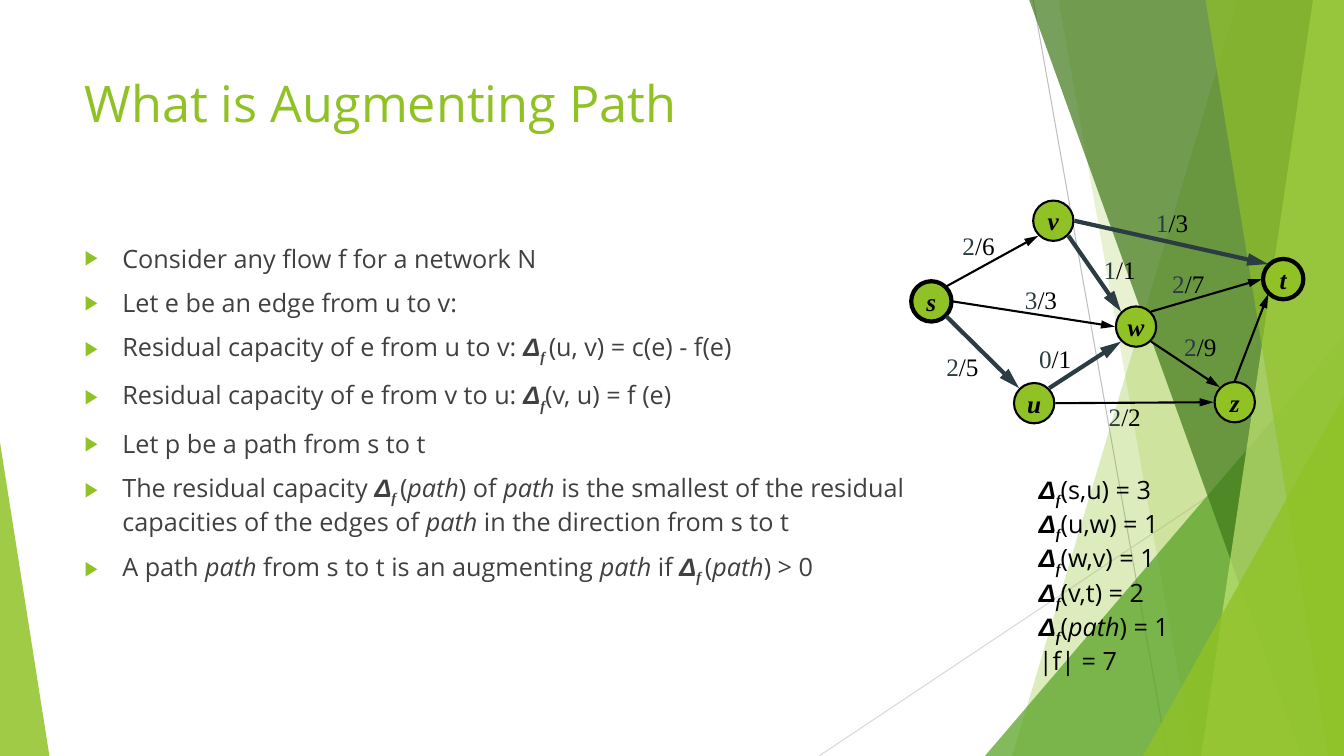
from dataclasses import dataclass

from lxml import etree
from pptx import Presentation
from pptx import util as u
from pptx.dml.color import RGBColor
from pptx.enum import shapes, text
from pptx.oxml.ns import qn


@dataclass(frozen=True)
class Theme:
    green: str = "90C226"
    leaf: str = "54A021"
    forest: str = "3F7819"
    lime: str = "C0E474"
    slate: str = "2C3C43"
    black: str = "000000"
    body: str = "404040"
    gray: str = "BFBFBF"
    pale: str = "D9D9D9"
    sans: str = "Open Sans"
    symbol: str = "Arial"
    serif: str = "Times New Roman"
    title_size: int = 36
    text_size: int = 18
    thin: float = 1.5
    thick: float = 3


DELTA, SUB, SUB_GAP, PATH = ("Δ", "delta"), ("f", "sub"), ("f ", "sub"), ("path", "italic")

# top-left x, bottom-left x, colour, opacity in percent; all reach the right edge
FACETS = [(884, 723, "green", 30), (756, 852, "green", 20), (735, 929.5, "forest", 70),
          (938, 858, "lime", 70), (861, 949, "green", 65)]

BULLETS = [
    ["Consider any flow f for a network N"],
    ["Let e be an edge from u to v:"],
    ["Residual capacity of e from u to v: ", DELTA, SUB_GAP, "(u, v) = c(e) - f(e)"],
    ["Residual capacity of e from v to u: ", DELTA, SUB, "(v, u) = f (e)"],
    ["Let p be a path from s to t"],
    ["The residual capacity ", DELTA, SUB_GAP, "(", PATH, ") of ", PATH,
     " is the smallest of the residual capacities of the edges of ", PATH,
     " in the direction from s to t"],
    ["A path ", PATH, " from s to t is an augmenting ", PATH, " if ",
     DELTA, SUB_GAP, "(", PATH, ") > 0"],
]
RESIDUALS = [[DELTA, SUB, value] for value in
             ("(s,u) = 3", "(u,w) = 1", "(w,v) = 1", "(v,t) = 2")]
RESIDUALS += [[DELTA, SUB, "(", PATH, ") = 1"], ["|f| = 7"]]

RADIUS = 14.4
NODES = {"w": (811.5, 233.3), "s": (665.3, 215.3), "v": (752.4, 157.7),
         "u": (738.7, 288), "t": (916.6, 199.4), "z": (882, 287.3)}
TERMINALS = "st"
DIAGONAL = 0.71
COMPASS = {"N": (0, -1), "E": (1, 0), "W": (-1, 0),
           "NE": (DIAGONAL, -DIAGONAL), "NW": (-DIAGONAL, -DIAGONAL),
           "SE": (DIAGONAL, DIAGONAL), "SW": (-DIAGONAL, DIAGONAL)}

# tail node and side, head node and side, on the path, flow, capacity, label corner
EDGES = [
    ("s", "NE", "v", "SW", False, "2", "6", (680.4, 161.3)),
    ("s", "SE", "u", "NW", True, "2", "5", (668.9, 247.7)),
    ("v", "SE", "w", "NW", True, "1", "1", (781.2, 177.8)),
    ("v", "E", "t", "NW", True, "1", "3", (818.6, 144.7)),
    ("w", "NE", "t", "W", False, "2", "7", (830.2, 187.9)),
    ("w", "SE", "z", "NW", False, "2", "9", (838.8, 233.3)),
    ("z", "N", "t", "SW", False, None, None, None),
    ("u", "E", "z", "W", False, "2", "2", (784.8, 283)),
    ("u", "NE", "w", "SW", True, "0", "1", (735.1, 241.9)),
    ("s", "E", "w", "W", False, "3", "3", (725, 199.5)),
]


class Deck:
    def __init__(self, theme, width, height):
        self.theme, self.width, self.height = theme, width, height
        self.prs = Presentation()
        self.prs.slide_width, self.prs.slide_height = u.Pt(width), u.Pt(height)
        self.s = self.prs.slides.add_slide(self.prs.slide_layouts[6])

    def paint(self, sp, color, opacity=100):
        sp.shadow.inherit = False
        sp.line.fill.background()
        sp.fill.solid()
        sp.fill.fore_color.rgb = RGBColor.from_string(color)
        if opacity < 100:
            clr = sp.fill._xPr.find(qn("a:solidFill"))[0]
            etree.SubElement(clr, qn("a:alpha"), val=str(opacity * 1000))

    def facet(self, top_x, bottom_x, color, opacity):
        top, right, bottom = u.Pt(-0.6), u.Pt(self.width), u.Pt(self.height)
        fb = self.s.shapes.build_freeform(u.Pt(top_x), top)
        fb.add_line_segments([(right, top), (right, bottom), (u.Pt(bottom_x), bottom)])
        self.paint(fb.convert_to_shape(), color, opacity)

    def triangle(self, x, y, w, apex, color, opacity):
        """Draw a right triangle standing on the bottom edge of the slide."""
        sp = self.s.shapes.add_shape(shapes.MSO_SHAPE.ISOSCELES_TRIANGLE,
                                     u.Pt(x), u.Pt(y), u.Pt(w), u.Pt(self.height - y))
        sp.adjustments[0] = apex
        self.paint(sp, color, opacity)

    def line(self, start, end, color, width, arrow=False):
        cx = self.s.shapes.add_connector(shapes.MSO_CONNECTOR.STRAIGHT,
                                         *(u.Pt(v) for v in (*start, *end)))
        cx.line.color.rgb = RGBColor.from_string(color)
        cx.line.width = u.Pt(width)
        if arrow:
            etree.SubElement(cx.line._get_or_add_ln(), qn("a:tailEnd"),
                             type="triangle", w="med", len="lg")
        etree.SubElement(cx._element.spPr, qn("a:effectLst"))

    def style(self, r, color, size=None, font=None):
        r.font.name = font or self.theme.sans
        r.font.size = u.Pt(size or self.theme.text_size)
        r.font.color.rgb = RGBColor.from_string(color)

    def fill_paragraph(self, p, parts, color):
        """Add plain strings and (text, kind) pairs as runs."""
        for part in parts:
            words, kind = (part, None) if isinstance(part, str) else part
            r = p.add_run()
            r.text = words
            font = {"delta": self.theme.symbol, "sub": self.theme.serif}.get(kind)
            self.style(r, color, font=font)
            if kind:
                r.font.italic = True
                r.font.bold = kind != "italic"
            if kind == "sub":
                r.font._element.set("baseline", "-25000")

    def bullet(self, p):
        p.space_before = u.Pt(10)
        pPr = p._p.get_or_add_pPr()
        pPr.set("marL", str(u.Pt(27)))
        pPr.set("indent", str(u.Pt(-27)))
        clr = etree.SubElement(pPr, qn("a:buClr"))
        etree.SubElement(clr, qn("a:srgbClr"), val=self.theme.green)
        etree.SubElement(pPr, qn("a:buSzPct"), val="80000")
        etree.SubElement(pPr, qn("a:buFont"), typeface=self.theme.symbol)
        etree.SubElement(pPr, qn("a:buChar"), char="▶")

    def text_box(self, x, y, w, h, wrap=True):
        tf = self.s.shapes.add_textbox(u.Pt(x), u.Pt(y), u.Pt(w), u.Pt(h)).text_frame
        tf.word_wrap = wrap
        return tf

    def title(self, words, *box):
        tf = self.text_box(*box)
        tf.text = words
        self.style(tf.paragraphs[0].runs[0], self.theme.green, self.theme.title_size)

    def paragraphs(self, rows, color, *box, bullets=False):
        tf = self.text_box(*box)
        for i, parts in enumerate(rows):
            p = tf.add_paragraph() if i else tf.paragraphs[0]
            if bullets:
                self.bullet(p)
            self.fill_paragraph(p, parts, color)

    def node(self, name, x, y):
        sp = self.s.shapes.add_shape(shapes.MSO_SHAPE.OVAL, u.Pt(x - RADIUS), u.Pt(y - RADIUS),
                                     u.Pt(2 * RADIUS), u.Pt(2 * RADIUS))
        self.paint(sp, self.theme.green)
        sp.line.color.rgb = RGBColor.from_string(self.theme.black)
        sp.line.width = u.Pt(self.theme.thick if name in TERMINALS else self.theme.thin)
        tf = sp.text_frame
        tf.text = name
        tf.word_wrap = False
        tf.vertical_anchor = text.MSO_ANCHOR.MIDDLE
        p = tf.paragraphs[0]
        p.alignment = text.PP_ALIGN.CENTER
        r = p.runs[0]
        self.style(r, self.theme.black, font=self.theme.serif)
        r.font.bold = r.font.italic = True

    def edge_label(self, flow, capacity, x, y):
        tf = self.text_box(x, y, 37.5, 29, wrap=False)
        tf.auto_size = text.MSO_AUTO_SIZE.SHAPE_TO_FIT_TEXT
        for words, color in ((flow, self.theme.slate), ("/" + capacity, self.theme.black)):
            r = tf.paragraphs[0].add_run()
            r.text = words
            self.style(r, color, font=self.theme.serif)

    def edge(self, tail, tail_side, head, head_side, on_path):
        start, end = ([c + (RADIUS + 0.75) * d for c, d in zip(NODES[n], COMPASS[side])]
                      for n, side in ((tail, tail_side), (head, head_side)))
        t = self.theme
        color, width = (t.slate, t.thick) if on_path else (t.black, t.thin)
        self.line(start, end, color, width, arrow=True)


def main():
    t = Theme()
    deck = Deck(t, 960, 540)
    deck.line((738, 0), (834, 540), t.gray, 0.75)
    deck.line((960, 290), (585, 540), t.pale, 0.75)
    for i, (top_x, bottom_x, color, opacity) in enumerate(FACETS):
        if i == 2:
            deck.triangle(703.5, 240, 256.5, 1, t.leaf, 72)
        deck.facet(top_x, bottom_x, getattr(t, color), opacity)
    deck.triangle(816.5, 283, 143.5, 1, t.green, 80)
    deck.triangle(0, 316, 35.3, 0, t.green, 85)

    deck.title("What is Augmenting Path", 53.3, 48, 677, 104)
    deck.paragraphs(BULLETS, t.body, 53.3, 170, 677, 305, bullets=True)
    for name, center in NODES.items():
        deck.node(name, *center)
    for *ends, flow, capacity, corner in EDGES:
        deck.edge(*ends)
        if corner:
            deck.edge_label(flow, capacity, *corner)
    deck.paragraphs(RESIDUALS, t.black, 735, 335, 166, 138)
    deck.prs.save("out.pptx")


if __name__ == "__main__":
    main()
